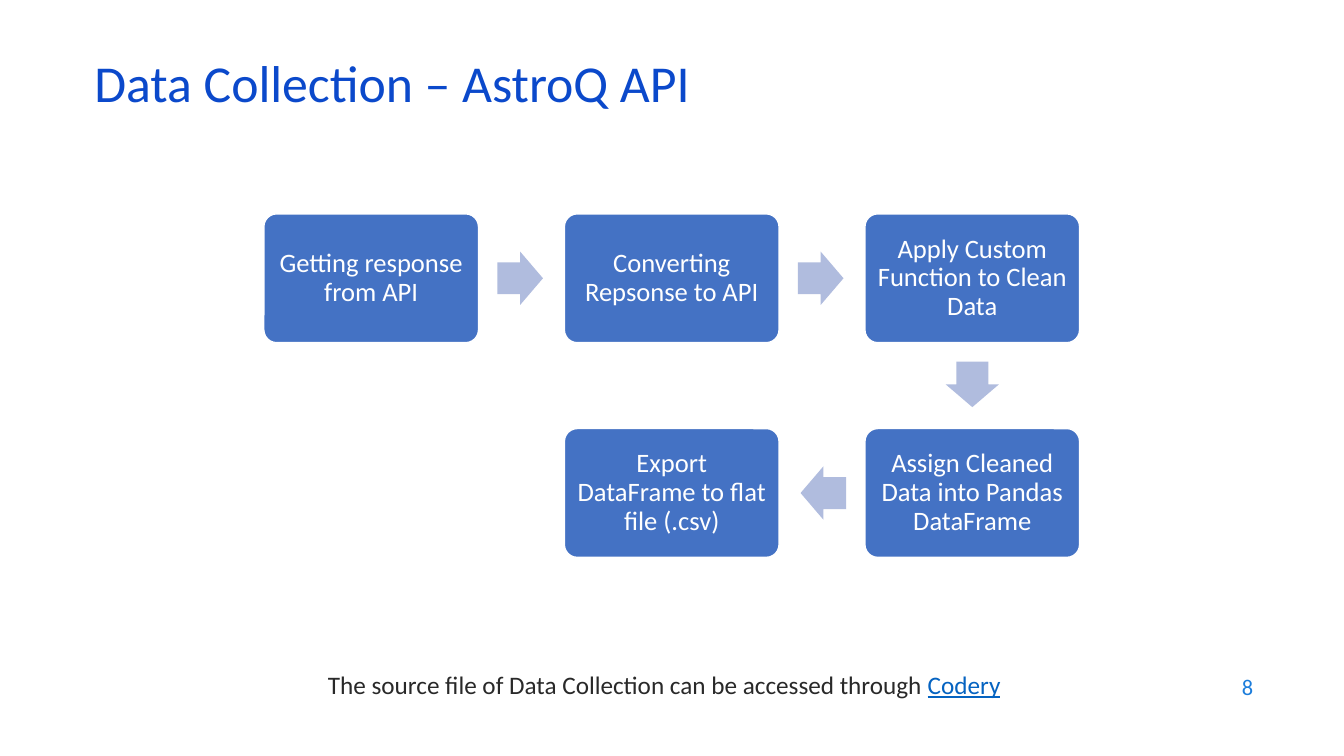
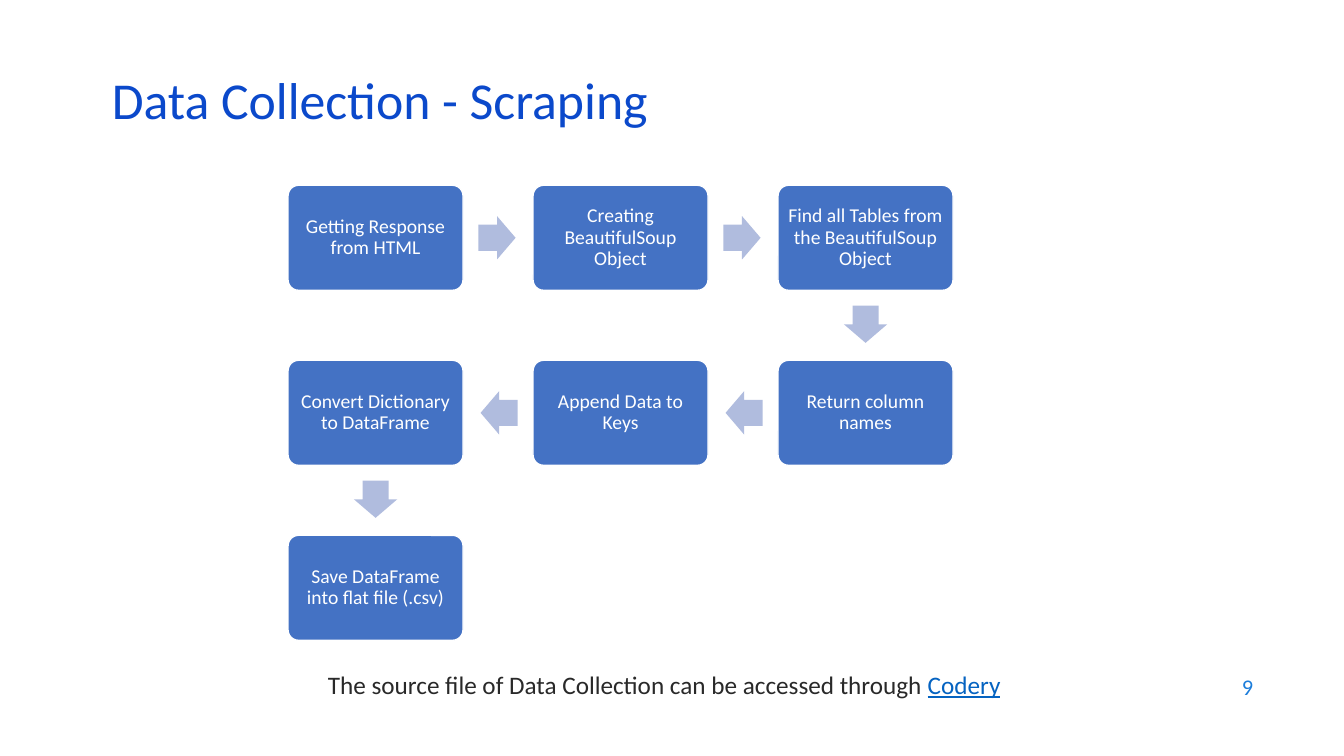
from pptx import Presentation
from pptx.dml.color import RGBColor
from pptx.enum.shapes import MSO_SHAPE
from pptx.enum.text import MSO_ANCHOR, PP_ALIGN
from pptx.util import Cm, Pt

FONT = "Calibri"
COLORS = {
    "title": "0B49CB",
    "body": "292929",
    "link": "0563C1",
    "page": "1C7DDB",
    "box": "4472C4",
    "arrow": "B0BCDE",
    "white": "FFFFFF",
}
COLS = 3

# Flow boxes start at x, y and are w wide (all in cm)
SLIDES = [
    dict(
        title="Data Collection – AstroQ API", at=(2.13, 1.5), page=8,
        x=6.65, y=5.39, w=5.41, size=19, inset=0.2,
        steps=[
            "Getting response from API",
            "Converting Repsonse to API",
            "Apply Custom Function to Clean Data",
            "Assign Cleaned Data into Pandas DataFrame",
            "Export DataFrame to flat file (.csv)",
        ],
    ),
    dict(
        title="Data Collection - Scraping", at=(2.57, 1.93), page=9,
        x=7.26, y=4.67, w=4.41, size=14, inset=0.15,
        steps=[
            "Getting Response from HTML",
            "Creating BeautifulSoup Object",
            "Find all Tables from the BeautifulSoup Object",
            "Return column names",
            "Append Data to Keys",
            "Convert Dictionary to DataFrame",
            "Save DataFrame into flat file (.csv)",
        ],
    ),
]


def write(shape, text, size, color, align=PP_ALIGN.LEFT, space=1.0,
          anchor=MSO_ANCHOR.MIDDLE, under=False):
    """Append a run to the shape's only paragraph and format both."""
    frame = shape.text_frame
    frame.word_wrap = True
    frame.vertical_anchor = anchor
    para = frame.paragraphs[0]
    para.alignment = align
    para.line_spacing = space
    run = para.add_run()
    run.text = text
    font = run.font
    font.name, font.size = FONT, Pt(size)
    font.color.rgb = RGBColor.from_string(COLORS[color])
    if under:
        font.underline = True


def draw(slide, kind, x, y, w, h, fill, adjs):
    """Add a filled preset shape without shadow or line."""
    shape = slide.shapes.add_shape(kind, Cm(x), Cm(y), Cm(w), Cm(h))
    shape.shadow.inherit = False
    shape.fill.solid()
    shape.fill.fore_color.rgb = RGBColor.from_string(COLORS[fill])
    shape.line.fill.background()
    for i, value in enumerate(adjs):
        shape.adjustments[i] = value
    return shape


prs = Presentation()
prs.slide_width, prs.slide_height = Cm(33.87), Cm(19.05)

for data in SLIDES:
    slide = prs.slides.add_slide(prs.slide_layouts[6])
    left, top = data["at"]
    title = slide.shapes.add_textbox(Cm(left), Cm(top), Cm(29.21), Cm(1.52))
    write(title, data["title"], 37, "title", space=0.7)

    # The flow snakes: even rows run right, odd rows run left
    w = data["w"]
    h = 0.6 * w
    spots = []
    for i in range(len(data["steps"])):
        row, col = divmod(i, COLS)
        if row % 2:
            col = COLS - 1 - col
        spots.append((data["x"] + 1.4 * w * col, data["y"] + w * row))

    for step, (x, y) in zip(data["steps"], spots):
        box = draw(slide, MSO_SHAPE.ROUNDED_RECTANGLE, x, y, w, h, "box", [0.1])
        box.line.color.rgb = RGBColor.from_string(COLORS["white"])
        box.line.width = Pt(1)
        frame = box.text_frame
        frame.margin_left = frame.margin_right = Cm(data["inset"])
        frame.margin_top = frame.margin_bottom = Cm(data["inset"])
        write(box, step, data["size"], "white", PP_ALIGN.CENTER, 0.9)

    # Arrows sit in the gaps, slightly nearer the box they leave
    long, wide, shift = 0.212 * w, 0.248 * w, 0.006 * w
    for (x1, y1), (x2, y2) in zip(spots, spots[1:]):
        dx = (x2 > x1) - (x2 < x1)
        dy = int(y2 > y1)
        mid_x = (x1 + x2 + w) / 2 - shift * dx
        mid_y = (y1 + y2 + h) / 2 - shift * dy
        arrow = draw(slide, MSO_SHAPE.RIGHT_ARROW, mid_x - long / 2,
                     mid_y - wide / 2, long, wide, "arrow", [0.6, 0.5])
        arrow.rotation = {(1, 0): 0, (0, 1): 90, (-1, 0): 180}[dx, dy]

    note = slide.shapes.add_textbox(Cm(6.4), Cm(16.74), Cm(20.68), Cm(1.02))
    style = dict(size=18, align=PP_ALIGN.CENTER, anchor=MSO_ANCHOR.TOP)
    write(note, "The source file of Data Collection can be accessed through ",
          color="body", **style)
    write(note, "Codery", color="link", under=True, **style)

    page = slide.shapes.add_textbox(Cm(24.21), Cm(16.74), Cm(7.62), Cm(1.12))
    write(page, str(data["page"]), 16, "page", PP_ALIGN.RIGHT)

prs.save("out.pptx")
